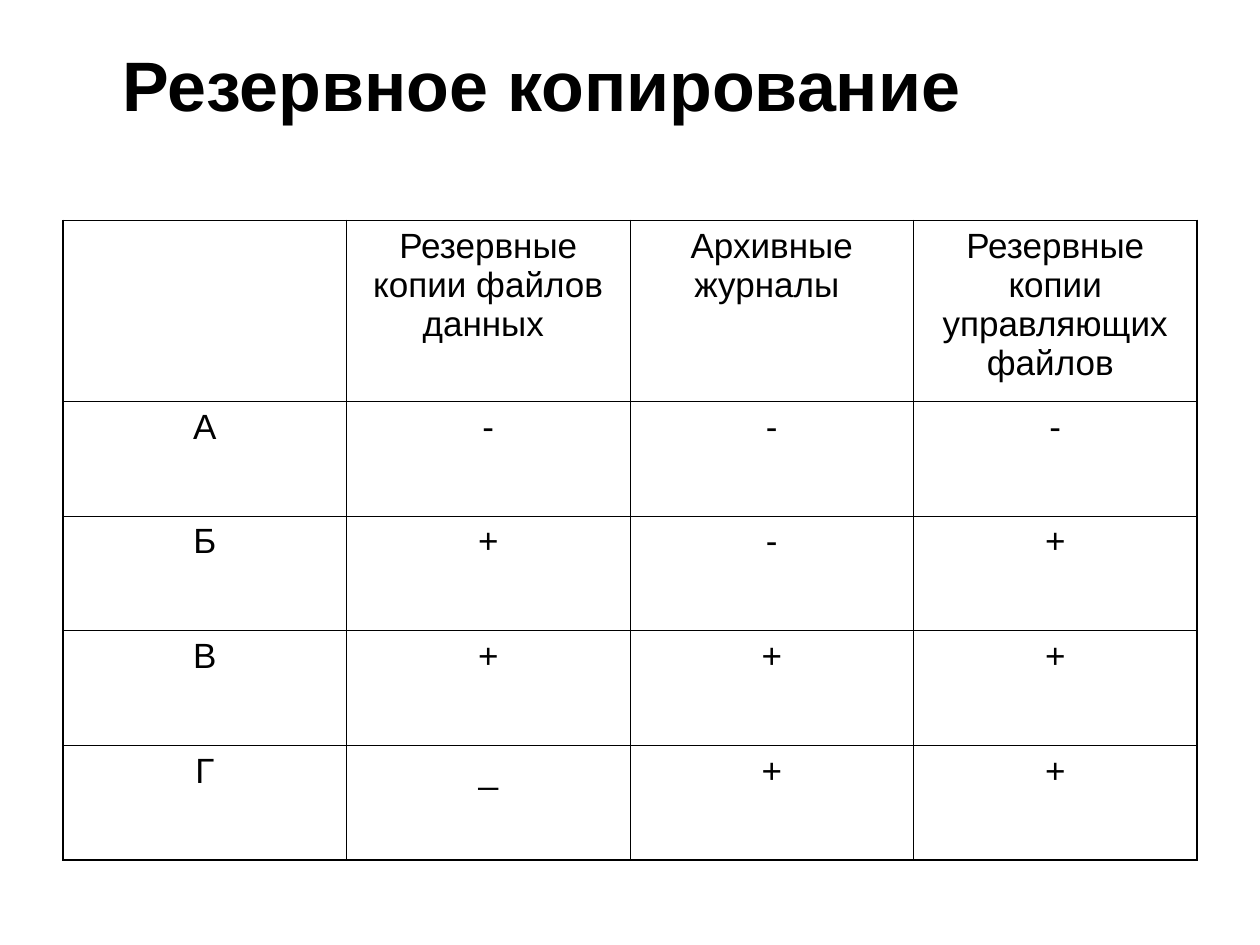
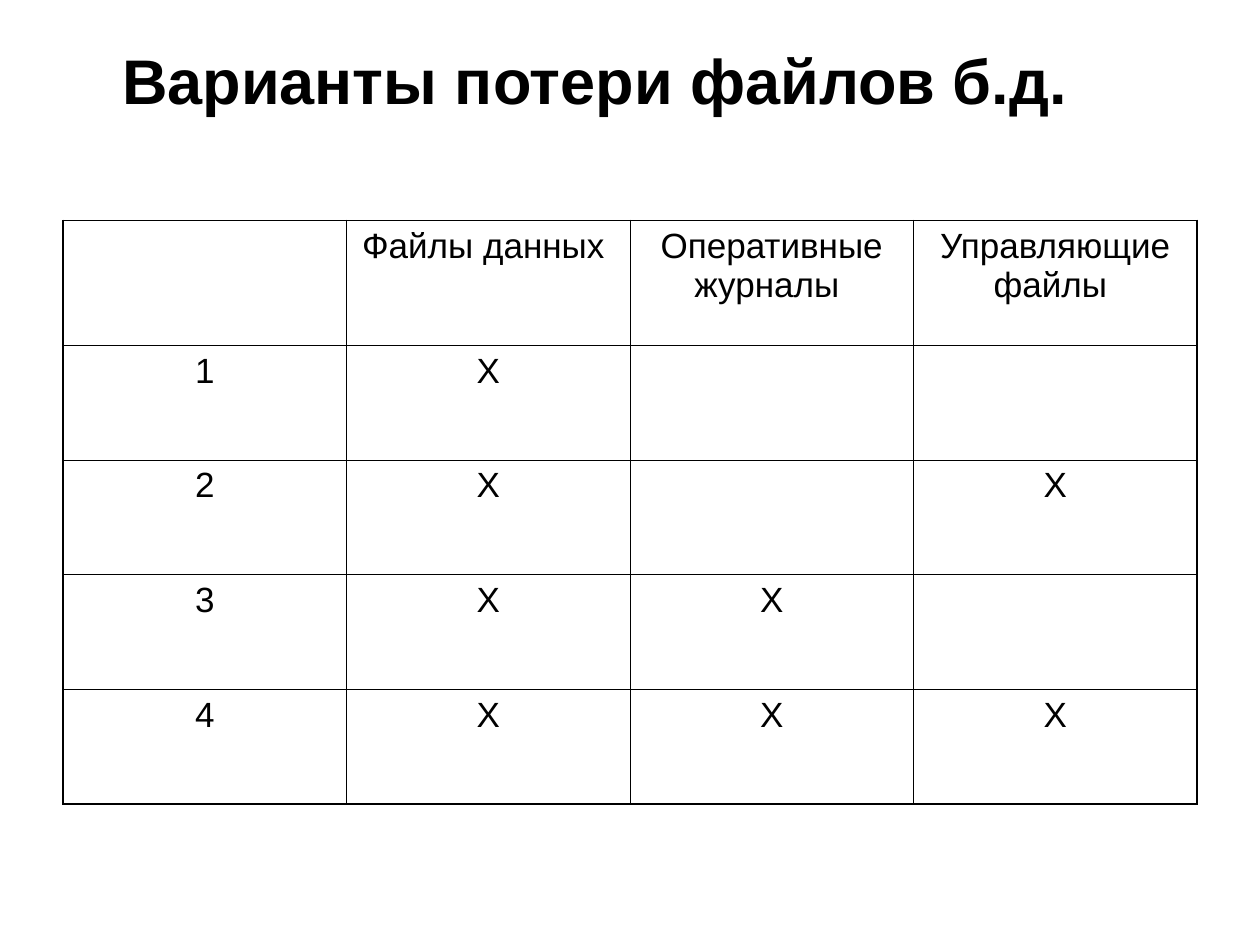
"""Build two slides with tables on backups and on the loss of database files."""
from lxml import etree
from pptx import Presentation
from pptx import util as u
from pptx.dml.color import RGBColor
from pptx.enum import text
from pptx.oxml.ns import qn

FONT = "Arial"
INK = "000000"
THIN, THICK = 0.45, 1.08
COLS, ROWS = 4, 5

prs = Presentation()
prs.slide_width, prs.slide_height = u.Inches(10), u.Inches(7.5)
W, H = prs.slide_width, prs.slide_height
margin = int(W * 0.05)
col_w = (W - 2 * margin) // COLS
row_h = u.Inches(0.91)


def style(p, size, color, bold=False):
    """Set the font of every run in a paragraph."""
    for r in p.runs:
        r.font.name, r.font.size, r.font.bold = FONT, u.Pt(size), bold
        r.font.color.rgb = RGBColor.from_string(color)


def border(cell, side, width, color):
    """Draw one edge of a table cell."""
    ln = etree.SubElement(cell._tc.get_or_add_tcPr(), qn("a:ln" + side), w=str(u.Pt(width)))
    fill = etree.SubElement(ln, qn("a:solidFill"))
    etree.SubElement(fill, qn("a:srgbClr"), val=color)


slides = [
    ("Резервное копирование", 40, 1.43, [
        ["", "Резервные копии файлов данных ", "Архивные журналы ",
         "Резервные копии управляющих файлов "],
        ["А", "-", "-", "-"],
        ["Б", "+", "-", "+"],
        ["В", "+", "+", "+"],
        ["Г", "_", "+", "+"],
    ]),
    ("Варианты потери файлов б.д.", 36, 0.99, [
        ["", "Файлы данных ", "Оперативные журналы ", "Управляющие файлы "],
        ["1", "X", "", ""],
        ["2", "X", "", "X"],
        ["3", "X", "X", ""],
        ["4", "X", "X", "X"],
    ]),
]

for title, title_size, head_h, rows in slides:
    s = prs.slides.add_slide(prs.slide_layouts[6])

    sp = s.shapes.add_textbox(u.Inches(0.97), u.Inches(0.33), u.Inches(8.29), u.Inches(1.03))
    tf = sp.text_frame
    tf.word_wrap = True
    tf.margin_left = tf.margin_right = tf.margin_top = tf.margin_bottom = 0
    tf.text = title
    style(tf.paragraphs[0], title_size, INK, bold=True)

    table_h = u.Inches(head_h) + (ROWS - 1) * row_h
    table = s.shapes.add_table(ROWS, COLS, margin, u.Inches(1.75), COLS * col_w, table_h).table
    table.first_row = table.horz_banding = False
    for i, row in enumerate(rows):
        table.rows[i].height = u.Inches(head_h) if i == 0 else row_h
        for j, value in enumerate(row):
            cell = table.cell(i, j)
            edges = {"L": j == 0, "R": j == COLS - 1, "T": i == 0, "B": i == ROWS - 1}
            for side, outer in edges.items():
                border(cell, side, THICK if outer else THIN, INK)
            cell.fill.background()
            if value:
                p = cell.text_frame.paragraphs[0]
                p.text = value
                p.alignment = text.PP_ALIGN.CENTER
                style(p, 20, INK)

prs.save("out.pptx")
